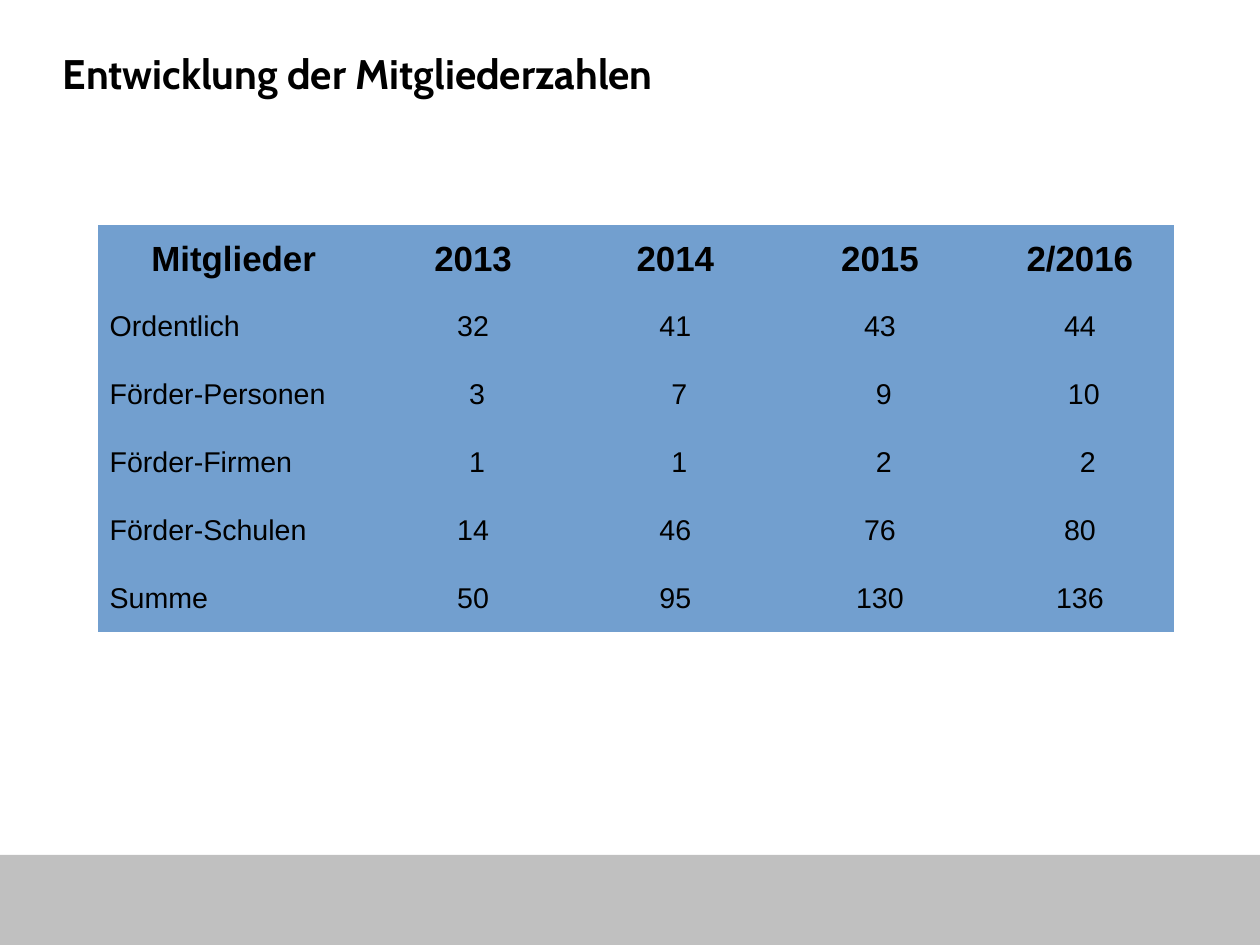
from pptx import Presentation
from pptx import util as u
from pptx.dml.color import RGBColor
from pptx.enum import shapes, text
from pptx.oxml.ns import qn

COLORS = {"text": "000000", "cell": "729FCF", "footer": "C0C0C0"}
NO_STYLE_NO_GRID = "{2D5ABB26-0587-4C30-8999-92F81FD0307C}"
COLUMN_WIDTHS = [2.37, 1.82, 1.72, 1.86, 1.64]
MEMBERS = [
    ["Mitglieder", "2013", "2014", "2015", "2/2016"],
    ["Ordentlich", "32", "41", "43", "44"],
    ["Förder-Personen", "3", "7", "9", "10"],
    ["Förder-Firmen", "1", "1", "2", "2"],
    ["Förder-Schulen", "14", "46", "76", "80"],
    ["Summe", "50", "95", "130", "136"],
]
# Extra left margin that shifts the small numbers to the right
ROW_INDENTS = {2: [0, 0.07, 0.07, 0.07, 0.07], 3: [0, 0.07, 0.07, 0.07, 0.14]}


def format_run(paragraph, name, size, bold):
    font = paragraph.runs[0].font
    font.name, font.size, font.bold = name, u.Pt(size), bold
    font.color.rgb = RGBColor.from_string(COLORS["text"])


# Slide of 28 by 21 cm, in the usual rounding of office programs
presentation = Presentation()
presentation.slide_width = u.Emu(10080625)
presentation.slide_height = u.Emu(7559675)
slide = presentation.slides.add_slide(presentation.slide_layouts[6])

# Footer band
footer_top = u.Inches(7.48)
footer = slide.shapes.add_shape(
    shapes.MSO_SHAPE.RECTANGLE, 0, footer_top,
    presentation.slide_width, presentation.slide_height - footer_top)
footer.shadow.inherit = False
footer.fill.solid()
footer.fill.fore_color.rgb = RGBColor.from_string(COLORS["footer"])
footer.line.fill.background()

# Title
title = slide.shapes.add_textbox(
    u.Inches(0.55), u.Inches(0.33), u.Inches(9.92), u.Inches(0.62))
frame = title.text_frame
frame.word_wrap = True
frame.vertical_anchor = text.MSO_ANCHOR.MIDDLE
frame.margin_left = frame.margin_right = frame.margin_top = frame.margin_bottom = 0
frame.text = "Entwicklung der Mitgliederzahlen"
format_run(frame.paragraphs[0], "Cabin", 26, True)

# Membership table
table = slide.shapes.add_table(
    len(MEMBERS), len(COLUMN_WIDTHS),
    u.Inches(0.86), u.Inches(1.97), u.Inches(9.42), u.Inches(3.56)).table
table.first_row = table.horz_banding = False
table._tbl.tblPr.find(qn("a:tableStyleId")).text = NO_STYLE_NO_GRID
for column, width in zip(table.columns, COLUMN_WIDTHS):
    column.width = u.Inches(width)

for row, values in enumerate(MEMBERS):
    is_header = row == 0
    indents = ROW_INDENTS.get(row, [0] * len(values))
    for column, (value, indent) in enumerate(zip(values, indents)):
        cell = table.cell(row, column)
        cell.fill.solid()
        cell.fill.fore_color.rgb = RGBColor.from_string(COLORS["cell"])
        cell.vertical_anchor = text.MSO_ANCHOR.MIDDLE
        cell.margin_left = u.Inches(0.1 + indent)
        cell.text_frame.text = value
        paragraph = cell.text_frame.paragraphs[0]
        is_label = column == 0 and not is_header
        paragraph.alignment = text.PP_ALIGN.LEFT if is_label else text.PP_ALIGN.CENTER
        format_run(paragraph, "Arial", 22 if is_header else 18, is_header)

presentation.save("out.pptx")
